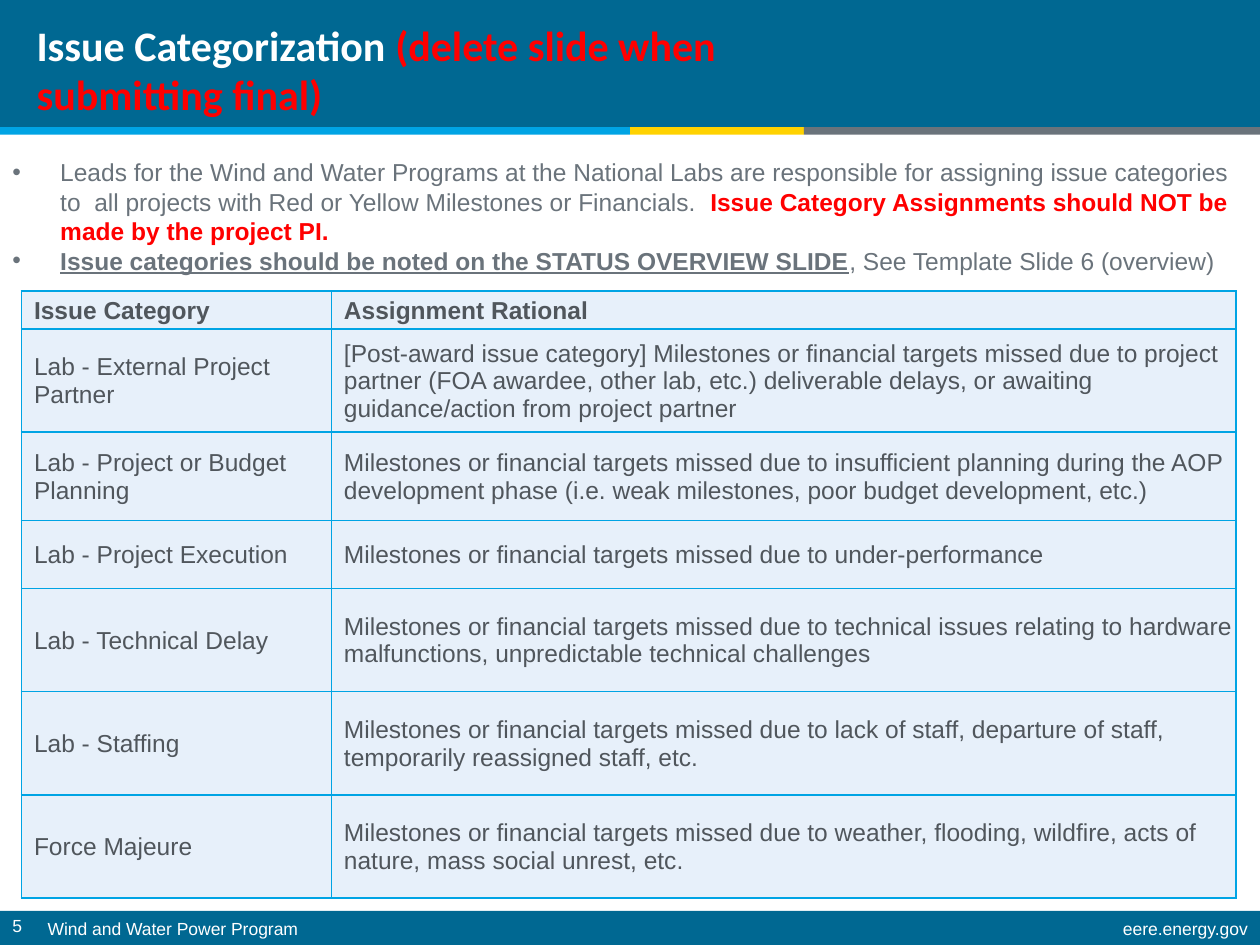
from dataclasses import dataclass
from lxml.etree import SubElement
from pptx import Presentation
from pptx.dml.color import RGBColor
from pptx.enum.shapes import MSO_SHAPE
from pptx.enum.text import MSO_ANCHOR, PP_ALIGN
from pptx.oxml.ns import qn
from pptx.util import Inches, Pt


@dataclass(frozen=True)
class Theme:
    navy: str = "006892"
    sky: str = "00A4E4"
    yellow: str = "FFD200"
    gray: str = "6A737B"
    dark: str = "50565C"
    pale: str = "E7F0FA"
    white: str = "FFFFFF"
    red: str = "FF0000"
    heading_font: str = "Calibri"
    body_font: str = "Arial"
    title_size: int = 24
    body_size: int = 14
    footer_size: int = 10


THEME = Theme()
WIDTH, HEIGHT = 10, 7.5

# Content: runs are (text, colour, bold, underline)
TITLE = [
    ("Issue Categorization ", THEME.white, True, False),
    ("(delete slide when submitting final)", THEME.red, True, False),
]
GUIDANCE = [
    [
        ("Leads for the Wind and Water Programs at the National Labs are responsible for "
         "assigning issue categories to  all projects with Red or Yellow Milestones or "
         "Financials.  ", THEME.gray, False, False),
        ("Issue Category Assignments should NOT be made by the project PI.",
         THEME.red, True, False),
    ],
    [
        ("Issue categories should be noted on the STATUS OVERVIEW SLIDE",
         THEME.gray, True, True),
        (", See Template Slide 6 (overview)", THEME.gray, False, False),
    ],
]
MISSED = "Milestones or financial targets missed due to "
CATEGORIES = [  # category, rationale, row height
    ("Issue Category", "Assignment Rational", 0.3),
    ("Lab - External Project Partner",
     "[Post-award issue category] " + MISSED + "project partner (FOA awardee, other lab, "
     "etc.) deliverable delays, or awaiting guidance/action from project partner", 0.82),
    ("Lab - Project or Budget Planning",
     MISSED + "insufficient planning during the AOP development phase "
     "(i.e. weak milestones, poor budget development, etc.)", 0.7),
    ("Lab - Project Execution", MISSED + "under-performance", 0.54),
    ("Lab - Technical Delay",
     MISSED + "technical issues relating to hardware malfunctions, "
     "unpredictable technical challenges", 0.82),
    ("Lab - Staffing",
     MISSED + "lack of staff, departure of staff, temporarily reassigned staff, etc.", 0.82),
    ("Force Majeure",
     MISSED + "weather, flooding, wildfire, acts of nature, mass social unrest, etc.", 0.82),
]
COLUMN_WIDTHS = (2.46, 7.18)
HEADER_HEIGHT, FOOTER_HEIGHT, STRIPE_HEIGHT = 1.01, 0.27, 0.06
STRIPES = [(THEME.sky, 5), (THEME.yellow, 1.38), (THEME.gray, 3.62)]
FOOTERS = [  # text, left, top, width, alignment
    ("5", 0, 7.21, 0.43, PP_ALIGN.LEFT),
    ("Wind and Water Power Program", 0.28, 7.24, 7.97, PP_ALIGN.LEFT),
    ("eere.energy.gov", 5.99, 7.24, 4.01, PP_ALIGN.RIGHT),
]


def style(run, size, color, bold=False, underline=False, font=THEME.body_font):
    run.font.size, run.font.name = Pt(size), font
    run.font.bold, run.font.underline = bold, underline
    run.font.color.rgb = RGBColor.from_string(color)


def add_runs(paragraph, runs, size, font=THEME.body_font):
    for text, color, bold, underline in runs:
        run = paragraph.add_run()
        run.text = text
        style(run, size, color, bold, underline, font)


def add_band(slide, left, top, width, height, color):
    band = slide.shapes.add_shape(MSO_SHAPE.RECTANGLE, *map(Inches, (left, top, width, height)))
    band.shadow.inherit = False
    band.fill.solid()
    band.fill.fore_color.rgb = RGBColor.from_string(color)
    band.line.fill.background()


def add_text_frame(slide, left, top, width, height):
    frame = slide.shapes.add_textbox(*map(Inches, (left, top, width, height))).text_frame
    frame.word_wrap = True
    return frame


def add_bullet(paragraph):
    properties = paragraph._p.get_or_add_pPr()
    properties.set("marL", str(Inches(0.38)))
    properties.set("indent", str(Inches(-0.38)))
    SubElement(properties, qn("a:buFont"), typeface=THEME.body_font)
    SubElement(properties, qn("a:buChar"), char="•")


def format_cell(cell, text, bold):
    cell.text = text
    style(cell.text_frame.paragraphs[0].runs[0], THEME.body_size, THEME.dark, bold)
    cell.vertical_anchor = MSO_ANCHOR.MIDDLE
    cell.margin_left, cell.margin_right = Inches(0.1), Inches(0.01)
    cell.margin_top, cell.margin_bottom = Inches(0.01), 0
    # Borders precede the fill in the cell properties
    properties = cell._tc.get_or_add_tcPr()
    for side in ("a:lnL", "a:lnR", "a:lnT", "a:lnB"):
        border = SubElement(properties, qn(side), w=str(Pt(1)))
        SubElement(SubElement(border, qn("a:solidFill")), qn("a:srgbClr"), val=THEME.sky)
    cell.fill.solid()
    cell.fill.fore_color.rgb = RGBColor.from_string(THEME.pale)


def main():
    deck = Presentation()
    deck.slide_width, deck.slide_height = Inches(WIDTH), Inches(HEIGHT)
    slide = deck.slides.add_slide(deck.slide_layouts[5])

    # Header and footer bands, with the stripes laid end to end
    add_band(slide, 0, 0, WIDTH, HEADER_HEIGHT, THEME.navy)
    add_band(slide, 0, HEIGHT - FOOTER_HEIGHT, WIDTH, FOOTER_HEIGHT, THEME.navy)
    stripe_left = 0
    for color, width in STRIPES:
        add_band(slide, stripe_left, HEADER_HEIGHT, width, STRIPE_HEIGHT, color)
        stripe_left += width

    # Footer text
    for text, left, top, width, alignment in FOOTERS:
        paragraph = add_text_frame(slide, left, top, width, 0.26).paragraphs[0]
        paragraph.alignment = alignment
        add_runs(paragraph, [(text, THEME.white, False, False)], THEME.footer_size)

    # Title, moved in front of the header band
    title = slide.shapes.title
    slide.shapes._spTree.append(title._element)
    title.left, title.top, title.width, title.height = map(Inches, (0.19, 0.12, 6.19, 0.87))
    title.text_frame.vertical_anchor = MSO_ANCHOR.MIDDLE
    heading = title.text_frame.paragraphs[0]
    heading.alignment, heading.line_spacing = PP_ALIGN.LEFT, Pt(28)
    add_runs(heading, TITLE, THEME.title_size, THEME.heading_font)

    # Category table
    table = slide.shapes.add_table(
        len(CATEGORIES), len(COLUMN_WIDTHS), Inches(0.17), Inches(2.31),
        Inches(sum(COLUMN_WIDTHS)), Inches(sum(row[-1] for row in CATEGORIES))).table
    for column, width in zip(table.columns, COLUMN_WIDTHS):
        column.width = Inches(width)
    for index, (*texts, height) in enumerate(CATEGORIES):
        table.rows[index].height = Inches(height)
        for column, text in enumerate(texts):
            format_cell(table.cell(index, column), text, bold=index == 0)

    # Guidance bullets
    guidance = add_text_frame(slide, 0, 1.2, WIDTH, 1.28)
    for index, runs in enumerate(GUIDANCE):
        paragraph = guidance.add_paragraph() if index else guidance.paragraphs[0]
        add_bullet(paragraph)
        add_runs(paragraph, runs, THEME.body_size)

    deck.save("out.pptx")


if __name__ == "__main__":
    main()
